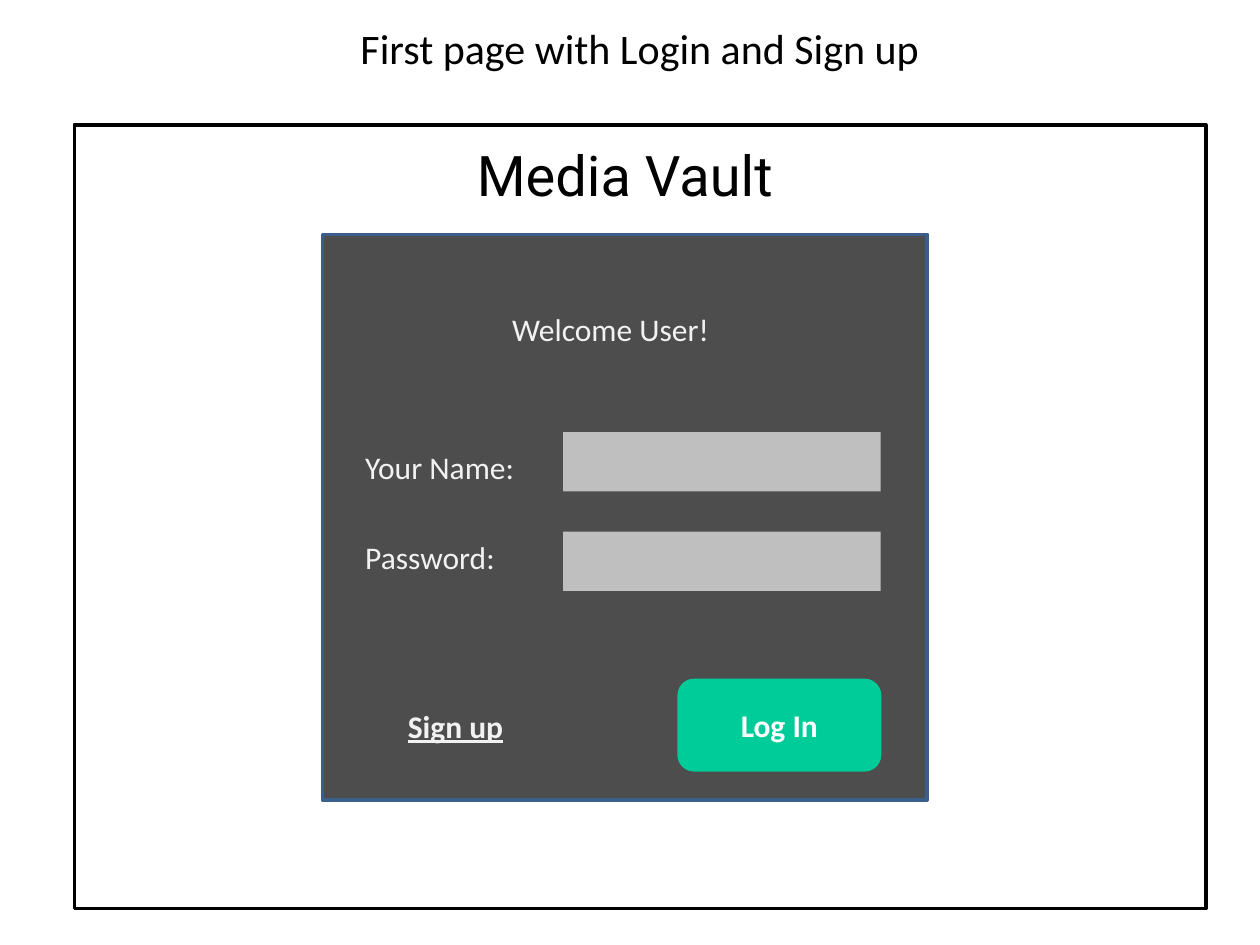
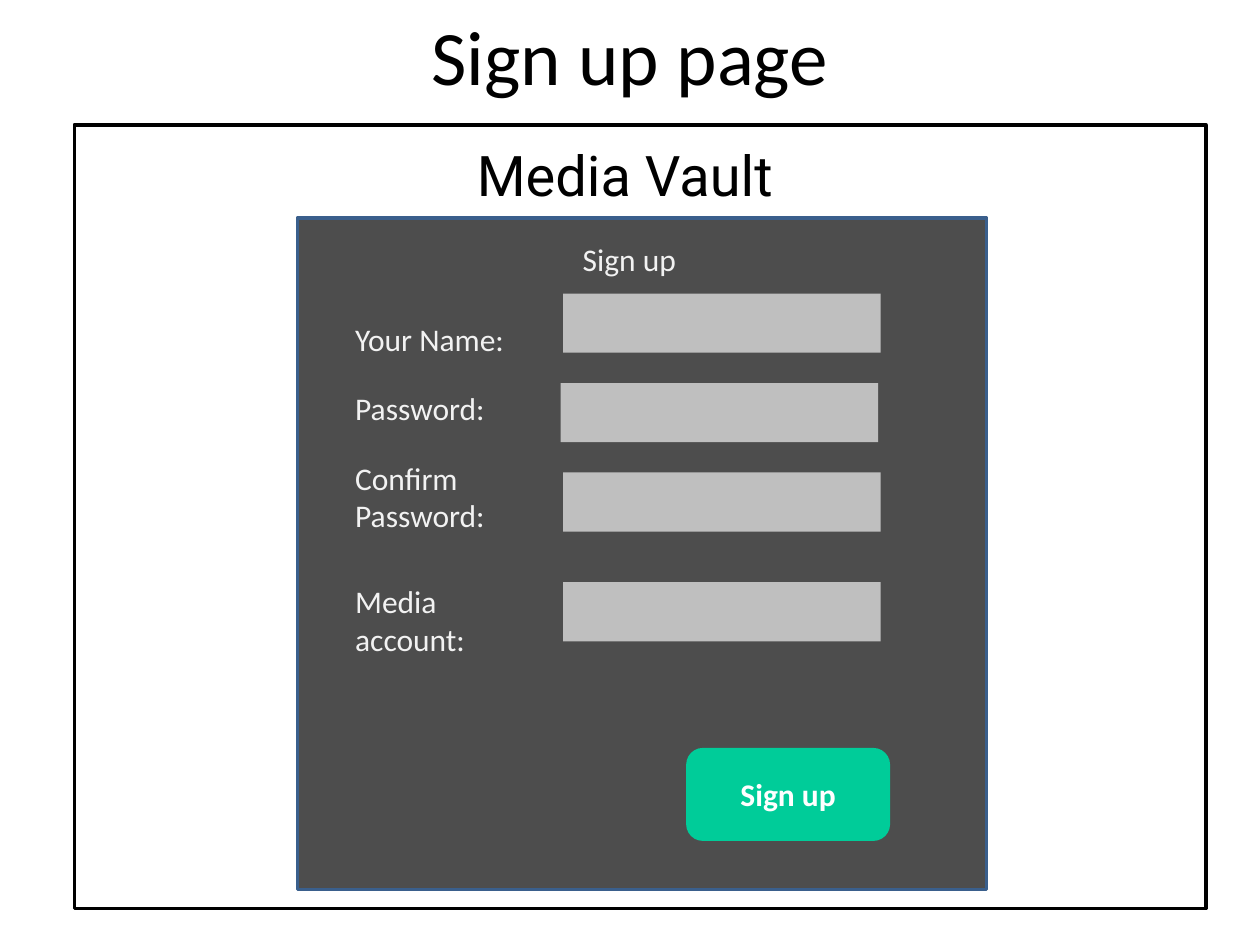
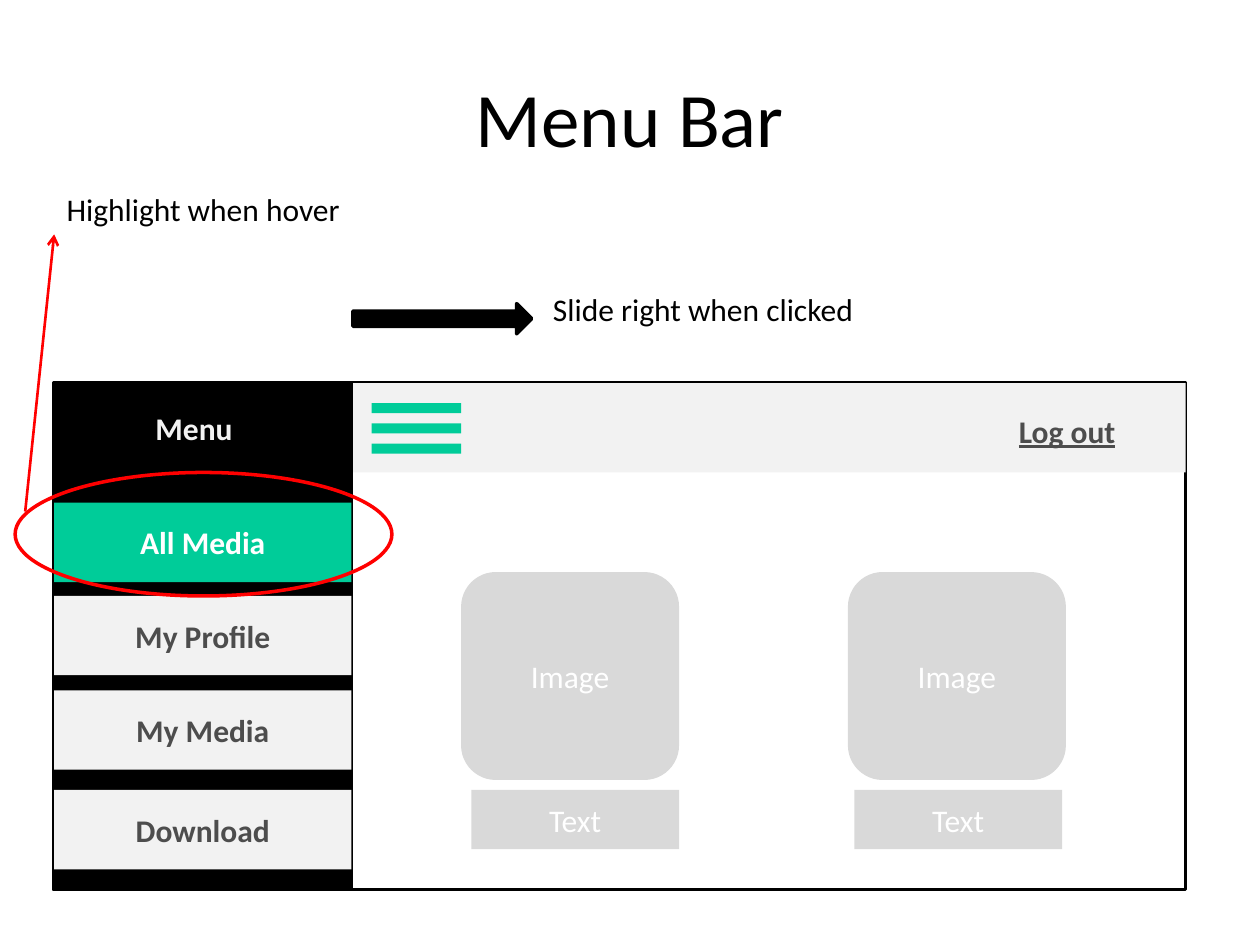
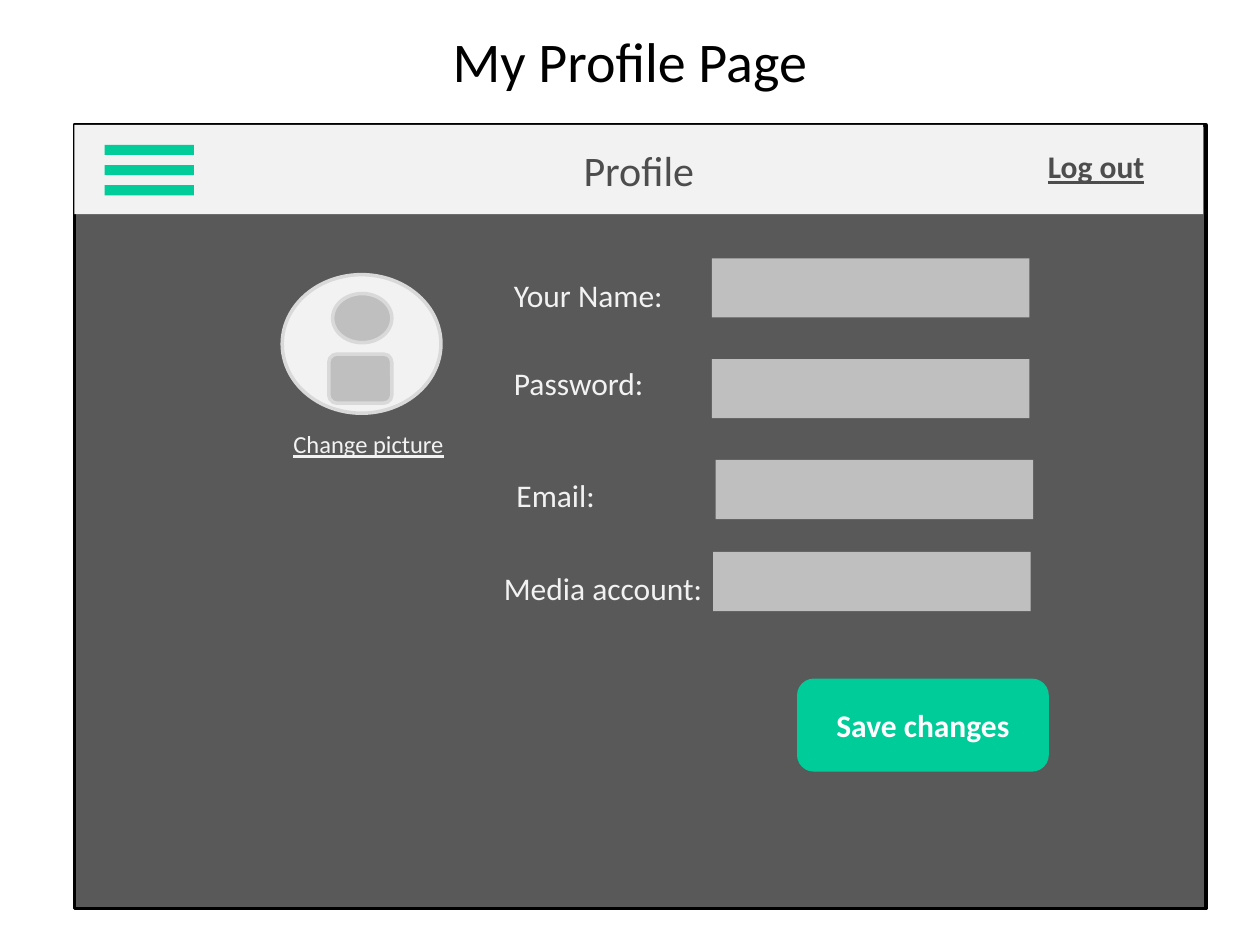
from dataclasses import dataclass

from lxml.etree import SubElement
from pptx import Presentation
from pptx.dml.color import RGBColor
from pptx.enum.shapes import MSO_CONNECTOR, MSO_SHAPE as Preset
from pptx.enum.text import MSO_ANCHOR as Anchor, MSO_AUTO_SIZE as AutoSize, PP_ALIGN as Align
from pptx.oxml.ns import qn
from pptx.util import Pt

EMU_PER_PX = 9144  # 100 px to the inch


@dataclass(frozen=True)
class Theme:
    black: str = "000000"
    white: str = "FFFFFF"
    panel: str = "4D4D4D"
    panel_line: str = "3A5F8C"
    profile_panel: str = "595959"
    light: str = "F2F2F2"
    placeholder: str = "D9D9D9"
    field: str = "BFBFBF"
    accent: str = "00CC99"
    note: str = "FF0000"
    font: str = "Calibri"
    brand_font: str = "Roboto"
    title: int = 44
    brand: int = 32
    heading: int = 24
    body: int = 18
    small: int = 14
    line: float = 2
    thin_line: float = 1.5


THEME = Theme()
SCREEN = (59, 99, 898, 622)
BAR_HEIGHT = 71
FIELD_SIZE = (252, 47)


def px(*lengths):
    return [length * EMU_PER_PX for length in lengths]


def rgb(color):
    return RGBColor.from_string(color)


def write(shape, text, *, size=THEME.body, color=THEME.white, font=THEME.font,
          bold=False, underline=False, align=Align.CENTER, anchor=Anchor.MIDDLE):
    frame = shape.text_frame
    frame.vertical_anchor = anchor
    paragraph = frame.paragraphs[0]
    paragraph.alignment = align
    run = paragraph.add_run()
    run.text = text
    run.font.name = font
    run.font.size = Pt(size)
    run.font.bold = bold
    run.font.underline = underline
    run.font.color.rgb = rgb(color)


def add_box(parent, box, fill=None, line=None, preset=Preset.RECTANGLE):
    """Draw a preset shape on a slide or in a group; no colour means no paint."""
    shape = parent.shapes.add_shape(preset, *px(*box))
    shape.shadow.inherit = False
    if fill:
        shape.fill.solid()
        shape.fill.fore_color.rgb = rgb(fill)
    else:
        shape.fill.background()
    if line:
        shape.line.color.rgb = rgb(line)
        shape.line.width = Pt(THEME.line)
    else:
        shape.line.fill.background()
    return shape


def add_text(slide, box, text, *, wrap=True, anchor=Anchor.TOP, **text_format):
    shape = slide.shapes.add_textbox(*px(*box))
    shape.text_frame.word_wrap = wrap
    if anchor == Anchor.TOP:
        shape.text_frame.auto_size = AutoSize.SHAPE_TO_FIT_TEXT
    write(shape, text, anchor=anchor, **text_format)


def add_title(slide, top, height, text, size=THEME.title):
    add_text(slide, (50, top, 900, height), text, size=size,
             color=THEME.black, anchor=Anchor.MIDDLE)


def add_label(slide, box, text, color=THEME.light, **text_format):
    add_text(slide, box, text, color=color, align=Align.LEFT, **text_format)


def add_field(slide, left, top):
    add_box(slide, (left, top, *FIELD_SIZE), THEME.field)


def add_button(slide, left, top, text, width=159):
    button = add_box(slide, (left, top, width, 71), THEME.accent, THEME.accent,
                     Preset.ROUNDED_RECTANGLE)
    write(button, text, bold=True)


def add_vault_screen(slide, panel):
    """Draw the framed page with its brand name and the dark form panel."""
    add_box(slide, SCREEN, THEME.white, THEME.black)
    add_box(slide, panel, THEME.panel, THEME.panel_line)
    add_text(slide, (256, 107, 480, 64), "Media Vault", size=THEME.brand,
             font=THEME.brand_font, color=THEME.black)


def add_menu_icon(slide, left, top):
    group = slide.shapes.add_group_shape()
    for row in range(3):
        add_box(group, (left, top + row * 16, 71, 8), THEME.accent)


def add_log_out(slide, left, top):
    add_text(slide, (left, top, 142, 40), "Log out", color=THEME.panel,
             bold=True, underline=True)


def add_arrow(slide, start, end, color):
    connector = slide.shapes.add_connector(MSO_CONNECTOR.STRAIGHT, *px(*start, *end))
    connector.line.color.rgb = rgb(color)
    connector.line.width = Pt(THEME.thin_line)
    SubElement(connector.line._get_or_add_ln(), qn("a:tailEnd"), type="arrow")
    SubElement(connector._element.spPr, qn("a:effectLst"))


def build_login(slide):
    add_vault_screen(slide, (256, 186, 480, 449))
    for text, label_top, field_top in (("Your Name:", 351, 343), ("Password:", 422, 422)):
        add_field(slide, 447, field_top)
        add_label(slide, (280, label_top, 142, 40), text)
    add_text(slide, (280, 241, 409, 40), "Welcome User!", color=THEME.light)
    add_button(slide, 539, 540, "Log In")
    add_text(slide, (278, 556, 167, 40), "Sign up", color=THEME.light,
             bold=True, underline=True)
    add_text(slide, (224, 13, 575, 50), "First page with Login and Sign up ",
             size=THEME.heading, color=THEME.black)


def build_sign_up(slide):
    add_title(slide, -19, 125, "Sign up page")
    add_vault_screen(slide, (236, 173, 547, 533))
    rows = (
        ("Your Name:", 249, 40, 447, 233),
        ("Password:", 304, 40, 445, 304),
        ("Confirm Password:", 359, 71, 447, 375),
        ("Media account:", 457, 71, 447, 462),
    )
    for text, label_top, label_height, field_left, field_top in rows:
        add_field(slide, field_left, field_top)
        add_label(slide, (272, label_top, 142, label_height), text)
    add_text(slide, (295, 186, 409, 40), "Sign up", color=THEME.light)
    add_button(slide, 546, 595, "Sign up")


def build_menu(slide):
    left, top, width, height = 43, 304, 898, 402
    menu_width = 236
    add_title(slide, 30, 125, "Menu Bar")
    add_box(slide, (left, top, width, height), THEME.white, THEME.black)
    add_box(slide, (left, top, width, BAR_HEIGHT), THEME.light)
    add_box(slide, (left, top, menu_width, height), THEME.black, THEME.black)
    add_menu_icon(slide, 295, 320)

    items = (("All Media", 399), ("My Profile", 473), ("My Media", 548), ("Download", 627))
    for index, (text, item_top) in enumerate(items):
        fill, color = (THEME.light, THEME.panel) if index else (THEME.accent, THEME.white)
        item = add_box(slide, (left, item_top, menu_width, 63), fill)
        write(item, text, color=color, bold=True)

    add_box(slide, (280, 241, 142, 24), THEME.black, THEME.black, Preset.RIGHT_ARROW)
    add_label(slide, (429, 225, 268, 40), "Slide right when clicked", THEME.black)

    for image_left, caption_left in ((366, 374), (673, 678)):
        image = add_box(slide, (image_left, 454, 173, 165), THEME.placeholder,
                        preset=Preset.ROUNDED_RECTANGLE)
        write(image, "Image")
        caption = add_box(slide, (caption_left, 627, 165, 47), THEME.placeholder)
        write(caption, "Text")

    add_text(slide, (83, 320, 142, 40), "Menu", color=THEME.light, bold=True)
    add_box(slide, (12, 375, 299, 98), line=THEME.note, preset=Preset.OVAL)
    add_arrow(slide, (20, 406), (43, 186), THEME.note)
    add_label(slide, (43, 146, 240, 40), "Highlight when hover", THEME.black, wrap=False)
    add_log_out(slide, 776, 322)


def build_profile(slide):
    left, top, width, _ = SCREEN
    add_title(slide, 13, 69, "My Profile Page", THEME.brand)
    add_box(slide, SCREEN, THEME.profile_panel, THEME.black)
    bar = add_box(slide, (left, top, width - 2, BAR_HEIGHT), THEME.light)
    write(bar, "Profile", size=THEME.heading, color=THEME.panel)
    add_menu_icon(slide, 83, 115)
    add_log_out(slide, 799, 112)

    avatar_parts = (
        ((224, 218, 126, 110), THEME.light, Preset.OVAL),
        ((264, 233, 47, 39), THEME.field, Preset.OVAL),
        ((261, 281, 50, 39), THEME.field, Preset.ROUNDED_RECTANGLE),
    )
    for box, fill, preset in avatar_parts:
        add_box(slide, box, fill, THEME.placeholder, preset)
    add_label(slide, (223, 336, 182, 34), "Change picture", size=THEME.small, underline=True)

    rows = (
        ("Your Name:", (398, 214, 142, 40), 565, 205),
        ("Password:", (398, 284, 142, 40), 565, 285),
        ("Email:", (400, 373, 142, 40), 568, 365),
        ("Media account:", (390, 447, 188, 40), 566, 438),
    )
    for text, label_box, field_left, field_top in rows:
        add_field(slide, field_left, field_top)
        add_label(slide, label_box, text)
    add_button(slide, 634, 540, "Save changes", width=197)


def main():
    presentation = Presentation()
    presentation.slide_width, presentation.slide_height = px(1000, 750)
    blank = presentation.slide_layouts[6]
    for build in (build_login, build_sign_up, build_menu, build_profile):
        build(presentation.slides.add_slide(blank))
    presentation.save("out.pptx")


if __name__ == "__main__":
    main()
